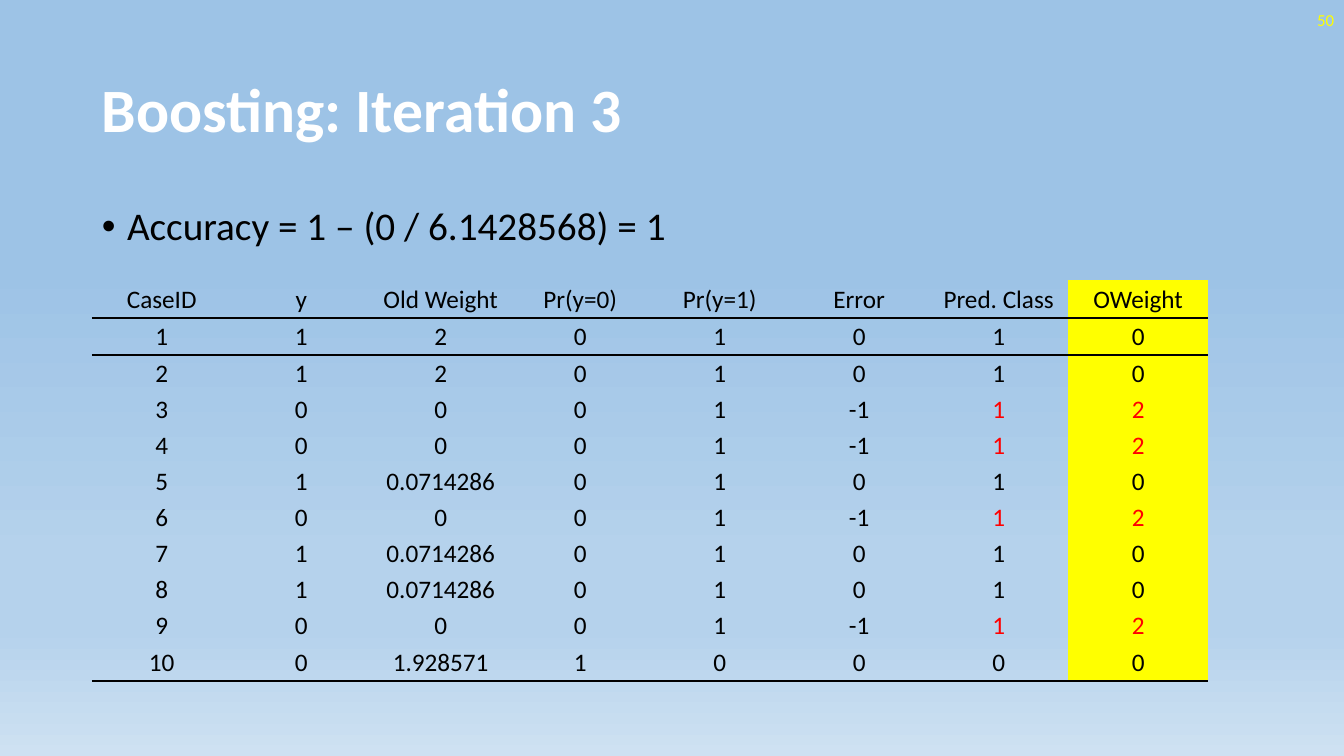
from lxml import etree
from pptx import Presentation
from pptx import util as u
from pptx.dml.color import RGBColor
from pptx.enum import text
from pptx.oxml.ns import qn

# Content
TITLE = "Boosting: Iteration 3"
ACCURACY = "Accuracy = 1 – (0 / 6.1428568) = 1"
PAGE_NUMBER = "50"
HEADER = ("CaseID", "y", "Old Weight", "Pr(y=0)", "Pr(y=1)", "Error", "Pred. Class", "OWeight")
CASES = [
    ("1", "1", "2", "0", "1", "0", "1", "0"),
    ("2", "1", "2", "0", "1", "0", "1", "0"),
    ("3", "0", "0", "0", "1", "-1", "1", "2"),
    ("4", "0", "0", "0", "1", "-1", "1", "2"),
    ("5", "1", "0.0714286", "0", "1", "0", "1", "0"),
    ("6", "0", "0", "0", "1", "-1", "1", "2"),
    ("7", "1", "0.0714286", "0", "1", "0", "1", "0"),
    ("8", "1", "0.0714286", "0", "1", "0", "1", "0"),
    ("9", "0", "0", "0", "1", "-1", "1", "2"),
    ("10", "0", "1.928571", "1", "0", "0", "0", "0"),
]
ERROR, PREDICTED, OUT_WEIGHT = 5, 6, 7

# Style
FONT = "Calibri"
BLACK = RGBColor(0x00, 0x00, 0x00)
WHITE = RGBColor(0xFF, 0xFF, 0xFF)
YELLOW = RGBColor(0xFF, 0xFF, 0x00)
RED = RGBColor(0xFF, 0x00, 0x00)
SKY = RGBColor(0x9D, 0xC3, 0xE6)
PALE = RGBColor(0xB5, 0xD2, 0xEC)
MIST = RGBColor(0xCE, 0xE1, 0xF2)
BACKDROP = [(35, SKY), (74, PALE), (83, PALE), (100, MIST)]
NO_TABLE_STYLE = "{2D5ABB26-0587-4C30-8999-92F81FD0307C}"

# Layout in px
PAGE = (1344, 756)
TITLE_BOX = (92, 40, 1160, 146)
BODY_BOX = (92, 202, 1160, 70)
NUMBER_BOX = (1042, 0, 302, 40)
TABLE_BOX = (92, 280, 1116, 401)
ROW_HEIGHTS = [38, 37] + [36] * 8 + [38]
SCALE = u.Inches(13.3333333) / PAGE[0]


def px(length):
    return u.Emu(round(length * SCALE))


def add_span(para, words, size, color, bold=False):
    span = para.add_run()
    span.text = words
    span.font.name, span.font.size, span.font.bold = FONT, u.Pt(size), bold
    span.font.color.rgb = color


def add_text(page, place, words, size, color, bold=False, anchor=text.MSO_ANCHOR.MIDDLE):
    box = page.shapes.add_textbox(*map(px, place))
    box.text_frame.word_wrap = True
    box.text_frame.vertical_anchor = anchor
    para = box.text_frame.paragraphs[0]
    add_span(para, words, size, color, bold)
    return para


def add_border(cell, side):
    line = etree.Element(qn("a:" + side), w=str(u.Pt(2)))
    fill = etree.SubElement(line, qn("a:solidFill"))
    etree.SubElement(fill, qn("a:srgbClr"), val=str(BLACK))
    cell._tc.get_or_add_tcPr().insert(0, line)


def paint_backdrop(page):
    fill = page.background.fill
    fill.gradient()
    gradient = fill._fill._gradFill
    stops = gradient.find(qn("a:gsLst"))
    for stop in list(stops):
        stops.remove(stop)
    for percent, color in BACKDROP:
        stop = etree.SubElement(stops, qn("a:gs"), pos=str(percent * 1000))
        etree.SubElement(stop, qn("a:srgbClr"), val=str(color))
    gradient.find(qn("a:lin")).set("ang", "5400000")


def add_case_table(page):
    rows = [HEADER] + CASES
    frame = page.shapes.add_table(len(rows), len(HEADER), *map(px, TABLE_BOX))
    table = frame.table
    table.first_row = table.horz_banding = False
    table._tbl.tblPr.find(qn("a:tableStyleId")).text = NO_TABLE_STYLE
    for row, values in enumerate(rows):
        table.rows[row].height = px(ROW_HEIGHTS[row])
        for column, value in enumerate(values):
            cell = table.cell(row, column)
            cell.vertical_anchor = text.MSO_ANCHOR.MIDDLE
            cell.margin_left = cell.margin_right = cell.margin_top = px(1)
            cell.margin_bottom = 0
            if column == OUT_WEIGHT:
                cell.fill.solid()
                cell.fill.fore_color.rgb = YELLOW
            else:
                cell.fill.background()
            # Rules under the header and under the last case
            if row in (0, len(rows) - 1):
                add_border(cell, "lnB")
            if row == 1:
                add_border(cell, "lnT")
            missed = values[ERROR] == "-1" and column >= PREDICTED
            para = cell.text_frame.paragraphs[0]
            para.alignment = text.PP_ALIGN.CENTER
            add_span(para, value, 18, RED if missed else BLACK)


def main():
    deck = Presentation()
    deck.slide_width, deck.slide_height = map(px, PAGE)
    page = deck.slides.add_slide(deck.slide_layouts[6])
    paint_backdrop(page)

    # Title
    title = add_text(page, TITLE_BOX, TITLE, 44, WHITE, bold=True)
    title.line_spacing = 0.9

    # Accuracy bullet
    bullet = add_text(page, BODY_BOX, ACCURACY, 28, BLACK, anchor=text.MSO_ANCHOR.TOP)
    bullet.line_spacing = 0.9
    bullet.space_before = u.Pt(10)
    properties = bullet._p.get_or_add_pPr()
    properties.set("marL", str(u.Inches(0.25)))
    properties.set("indent", str(-u.Inches(0.25)))
    etree.SubElement(properties, qn("a:buFont"), typeface="Arial")
    etree.SubElement(properties, qn("a:buChar"), char="•")

    # Page number
    number = add_text(page, NUMBER_BOX, PAGE_NUMBER, 12, YELLOW)
    number.alignment = text.PP_ALIGN.RIGHT

    add_case_table(page)
    deck.save("out.pptx")


if __name__ == "__main__":
    main()
